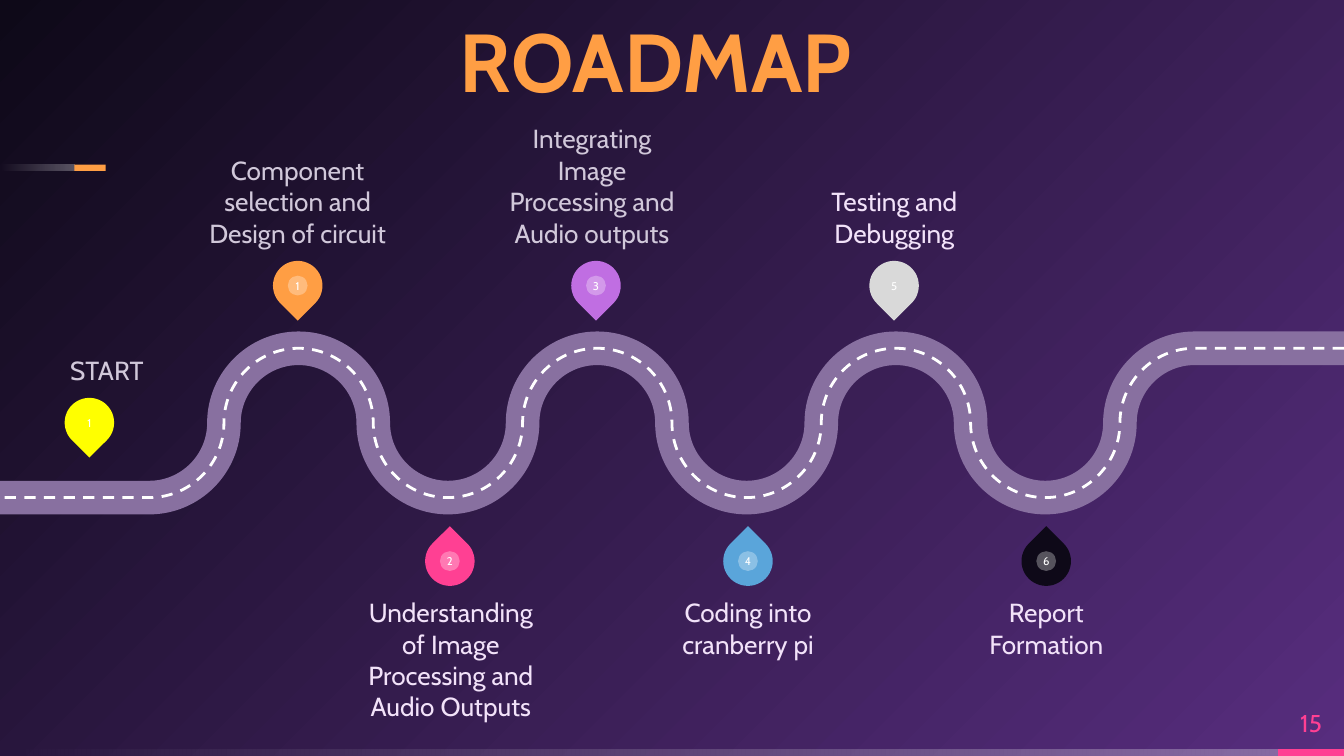
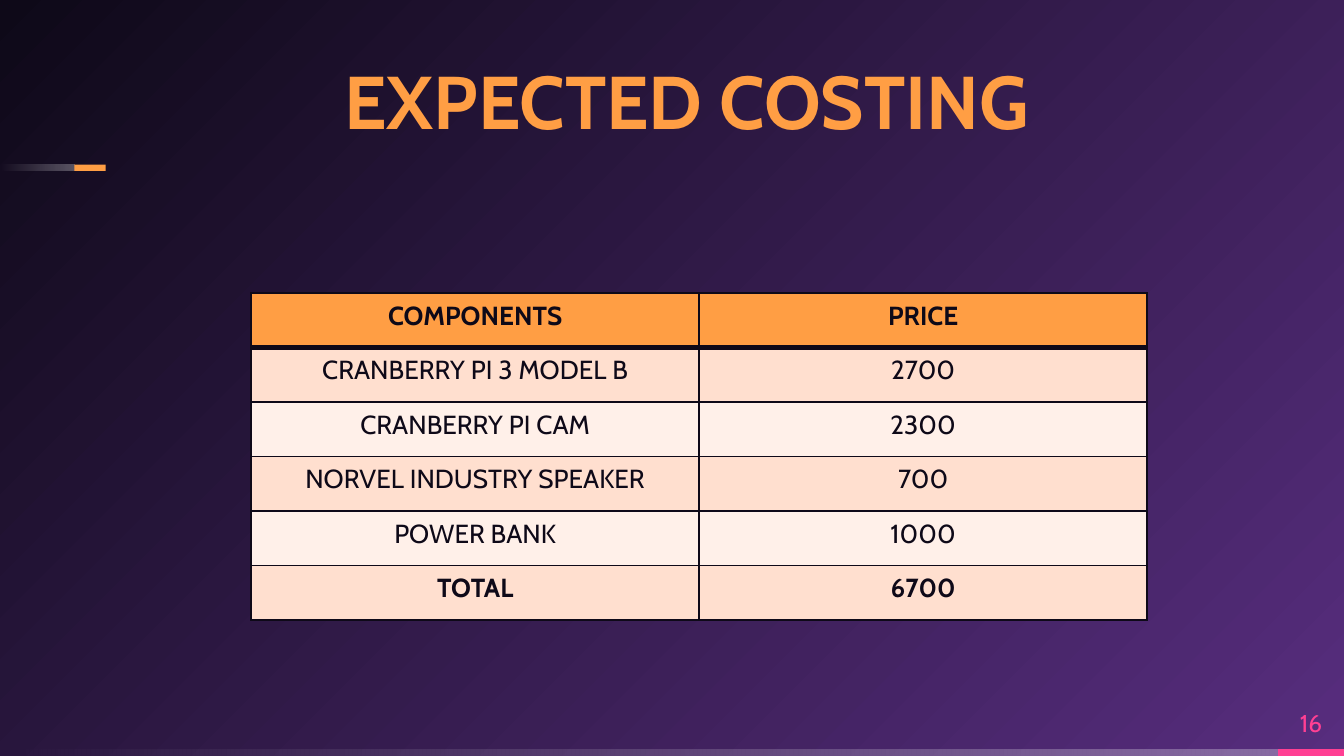
from dataclasses import dataclass

from lxml.etree import SubElement
from pptx import Presentation
from pptx.dml.color import RGBColor
from pptx.enum.dml import MSO_LINE
from pptx.enum.shapes import MSO_SHAPE
from pptx.enum.text import MSO_ANCHOR, PP_ALIGN
from pptx.oxml.ns import qn
from pptx.util import Pt


@dataclass(frozen=True)
class Theme:
    font: str = "Cabin"
    orange: str = "FF9E44"
    pink: str = "FF4093"
    violet: str = "C06EE2"
    blue: str = "5AA5DA"
    grey: str = "D9D9D9"
    yellow: str = "FFFF00"
    white: str = "FFFFFF"
    ink: str = "0E0918"
    purple: str = "572D7E"
    road: str = "8870A0"
    muted: str = "D1C8DA"
    pale: str = "F2E2F9"
    row_dark: str = "FFDFCF"
    row_light: str = "FFF0E9"
    roadmap_title: float = 44
    costing_title: float = 40
    body: float = 14
    page_number: float = 13
    pin_number: float = 6


THEME = Theme()


@dataclass(frozen=True)
class Box:
    left: float
    top: float
    width: float
    height: float

    def lengths(self) -> tuple:
        return Pt(self.left), Pt(self.top), Pt(self.width), Pt(self.height)


@dataclass(frozen=True)
class Milestone:
    number: str
    label: str
    x: float
    y: float
    label_left: float
    color: str
    label_color: str = THEME.pale
    below: bool = False
    plain_disc: bool = False


UPPER, LOWER = 153, 300.6
MILESTONES = [
    Milestone("1", "Component selection and Design of circuit", 159.5, UPPER, 108.7,
              THEME.orange, THEME.muted),
    Milestone("3", "Integrating Image Processing and Audio outputs", 319.3, UPPER, 266.4,
              THEME.violet, THEME.muted),
    Milestone("5", "Testing and Debugging", 479, UPPER, 428.4, THEME.grey, plain_disc=True),
    Milestone("6", "Report Formation", 560.5, LOWER, 509.8, THEME.ink, below=True),
    Milestone("4", "Coding into cranberry pi", 400.7, LOWER, 350, THEME.blue, below=True),
    Milestone("2", "Understanding of Image Processing and Audio Outputs", 241, LOWER, 190.8,
              THEME.pink, below=True),
    Milestone("1", "START", 47.9, 226.4, 6.5, THEME.yellow, THEME.muted, plain_disc=True),
]

COSTS = [
    ("COMPONENTS", "PRICE"),
    ("CRANBERRY PI 3 MODEL B", "2700"),
    ("CRANBERRY PI CAM", "2300"),
    ("NORVEL INDUSTRY SPEAKER", "700"),
    ("POWER BANK", "1000"),
    ("TOTAL", "6700"),
]


# Shared drawing helpers
def rgb(color: str) -> RGBColor:
    return RGBColor.from_string(color)


def set_alpha(color_element, percent: float) -> None:
    SubElement(color_element, qn("a:alpha"), val=str(int(percent * 1000)))


def add_stops(owner, stops: list):
    """Replace the stops of the owner's gradient; each stop is (position, color, opacity)."""
    gradient = owner.find(".//" + qn("a:gradFill"))
    gradient.clear()
    stop_list = SubElement(gradient, qn("a:gsLst"))
    for position, color, opacity in stops:
        stop = SubElement(stop_list, qn("a:gs"), pos=str(position * 1000))
        tint = SubElement(stop, qn("a:srgbClr"), val=color)
        if opacity < 100:
            set_alpha(tint, opacity)
    return gradient


def style_text(frame, text: str, size: float, color: str, bold: bool = False):
    paragraph = frame.paragraphs[0]
    paragraph.text = text
    paragraph.alignment = PP_ALIGN.CENTER
    font = paragraph.font
    font.name, font.size, font.bold = THEME.font, Pt(size), bold
    font.color.rgb = rgb(color)
    return paragraph


def clear_margins(frame, anchor: MSO_ANCHOR) -> None:
    frame.margin_left = frame.margin_top = frame.margin_right = frame.margin_bottom = 0
    frame.vertical_anchor = anchor


def add_text(slide, box: Box, text: str, size: float, color: str,
             anchor: MSO_ANCHOR, bold: bool = False):
    frame = slide.shapes.add_textbox(*box.lengths()).text_frame
    frame.word_wrap = True
    clear_margins(frame, anchor)
    return style_text(frame, text, size, color, bold)


def add_solid(slide, kind: MSO_SHAPE, box: Box, color: str):
    shape = slide.shapes.add_shape(kind, *box.lengths())
    shape.shadow.inherit = False
    shape.fill.solid()
    shape.fill.fore_color.rgb = rgb(color)
    shape.line.fill.background()
    return shape


def add_fading_band(slide, box: Box) -> None:
    band = add_solid(slide, MSO_SHAPE.RECTANGLE, box, THEME.white)
    band.fill.gradient()
    gradient = add_stops(band._element, [(0, THEME.white, 30), (100, THEME.white, 0)])
    SubElement(gradient, qn("a:lin"), ang="10800000", scaled="0")


def add_base(deck, title: str, title_size: float, title_box: Box, page: str):
    slide = deck.slides.add_slide(deck.slide_layouts[6])

    # Background glow from the lower right corner
    slide.background.fill.gradient()
    glow = add_stops(slide._element, [(0, THEME.purple, 100), (100, THEME.ink, 100)])
    circle = SubElement(glow, qn("a:path"), path="circle")
    SubElement(circle, qn("a:fillToRect"), l="100000", t="100000")

    # Footer band and title accent
    add_fading_band(slide, Box(0, 401.3, 687, 3.7))
    add_solid(slide, MSO_SHAPE.RECTANGLE, Box(684.7, 401.3, 35.3, 3.7), THEME.pink)
    add_fading_band(slide, Box(0, 88.2, 40, 3.4))
    add_solid(slide, MSO_SHAPE.RECTANGLE, Box(39.8, 88.2, 16.8, 3.4), THEME.orange)

    # Title and page number
    heading = add_text(slide, title_box, title, title_size, THEME.orange,
                       MSO_ANCHOR.BOTTOM, bold=True)
    heading.line_spacing = 0.9
    add_text(slide, Box(684.7, 373.7, 35.3, 27.4), page, THEME.page_number,
             THEME.pink, MSO_ANCHOR.MIDDLE)
    return slide


# Roadmap
ROAD_TOP, BEND, QUARTERS = 186.6, 40, 14


def round_bends(road) -> None:
    """Turn the straight chords between the two road ends into quarter circles."""
    handle = 0.55
    points = [(int(p.get("x")), int(p.get("y"))) for p in road._element.iter(qn("a:pt"))]
    chords = list(road._element.iter(qn("a:lnTo")))[1:-1]
    for i, chord in enumerate(chords):
        (x0, y0), (x1, y1) = points[i + 1], points[i + 2]
        dx, dy = handle * (x1 - x0), handle * (y1 - y0)
        if i % 2 == 0:  # leaves a crest or a dip
            controls = [(x0 + dx, y0), (x1, y1 - dy)]
        else:
            controls = [(x0, y0 + dy), (x1 - dx, y1)]
        chord.clear()
        chord.tag = qn("a:cubicBezTo")
        for x, y in [*controls, (x1, y1)]:
            SubElement(chord, qn("a:pt"), x=str(round(x)), y=str(round(y)))


def add_road(slide, color: str, width: float):
    levels = [ROAD_TOP, ROAD_TOP + BEND, ROAD_TOP + 2 * BEND, ROAD_TOP + BEND]
    turns = [(640 - BEND * i, levels[i % 4]) for i in range(QUARTERS + 1)]
    stations = [*turns, (0, levels[2])]
    builder = slide.shapes.build_freeform(Pt(720), Pt(ROAD_TOP))
    builder.add_line_segments([(Pt(x), Pt(y)) for x, y in stations], close=False)
    road = builder.convert_to_shape()
    round_bends(road)
    road.shadow.inherit = False
    road.fill.background()
    road.line.color.rgb = rgb(color)
    road.line.width = Pt(width)
    return road


def centred(x: float, y: float, size: float) -> Box:
    return Box(x - size / 2, y - size / 2, size, size)


def add_pin(slide, stop: Milestone) -> None:
    drop = add_solid(slide, MSO_SHAPE.TEAR, centred(stop.x, stop.y, 26.5), stop.color)
    drop.rotation = 315 if stop.below else 135

    disc = add_solid(slide, MSO_SHAPE.OVAL, centred(stop.x, stop.y, 10.6),
                     stop.color if stop.plain_disc else THEME.white)
    if not stop.plain_disc:
        set_alpha(disc._element.spPr.find(".//" + qn("a:srgbClr")), 30)
    clear_margins(disc.text_frame, MSO_ANCHOR.MIDDLE)
    style_text(disc.text_frame, stop.number, THEME.pin_number, THEME.white)


def add_label(slide, stop: Milestone) -> None:
    height = 41.8
    top = stop.y + 19 if stop.below else stop.y - 20 - height
    add_text(slide, Box(stop.label_left, top, 101.5, height), stop.label, THEME.body,
             stop.label_color, MSO_ANCHOR.TOP if stop.below else MSO_ANCHOR.BOTTOM)


def build_roadmap(deck) -> None:
    slide = add_base(deck, "ROADMAP", THEME.roadmap_title, Box(142.6, 28, 417.6, 31), "15")
    add_road(slide, THEME.road, 18)
    add_road(slide, THEME.white, 1.5).line.dash_style = MSO_LINE.DASH
    for stop in MILESTONES:
        add_pin(slide, stop)
        add_label(slide, stop)


# Costing table
def add_borders(cell, top: float, bottom: float) -> None:
    properties = cell._tc.get_or_add_tcPr()
    for side, width in (("L", 1), ("R", 1), ("T", top), ("B", bottom)):
        edge = SubElement(properties, qn(f"a:ln{side}"), w=str(Pt(width)))
        fill = SubElement(edge, qn("a:solidFill"))
        SubElement(fill, qn("a:srgbClr"), val=THEME.ink)


def build_costing(deck) -> None:
    slide = add_base(deck, "EXPECTED COSTING", THEME.costing_title,
                     Box(159.1, 46.8, 417.6, 31), "16")
    table = slide.shapes.add_table(len(COSTS), 2, *Box(134.6, 157, 480, 175.2).lengths()).table
    table.first_row = table.horz_banding = False
    for row, entries in enumerate(COSTS):
        table.rows[row].height = Pt(29.2)
        if row == 0:
            color = THEME.orange
        else:
            color = THEME.row_dark if row % 2 else THEME.row_light
        for column, entry in enumerate(entries):
            cell = table.cell(row, column)
            add_borders(cell, top=3 if row == 1 else 1, bottom=3 if row == 0 else 1)
            cell.fill.solid()
            cell.fill.fore_color.rgb = rgb(color)
            style_text(cell.text_frame, entry, THEME.body, THEME.ink,
                       bold=row in (0, len(COSTS) - 1))


def main() -> None:
    deck = Presentation()
    deck.slide_width, deck.slide_height = Pt(720), Pt(405)
    build_roadmap(deck)
    build_costing(deck)
    deck.save("out.pptx")


if __name__ == "__main__":
    main()
